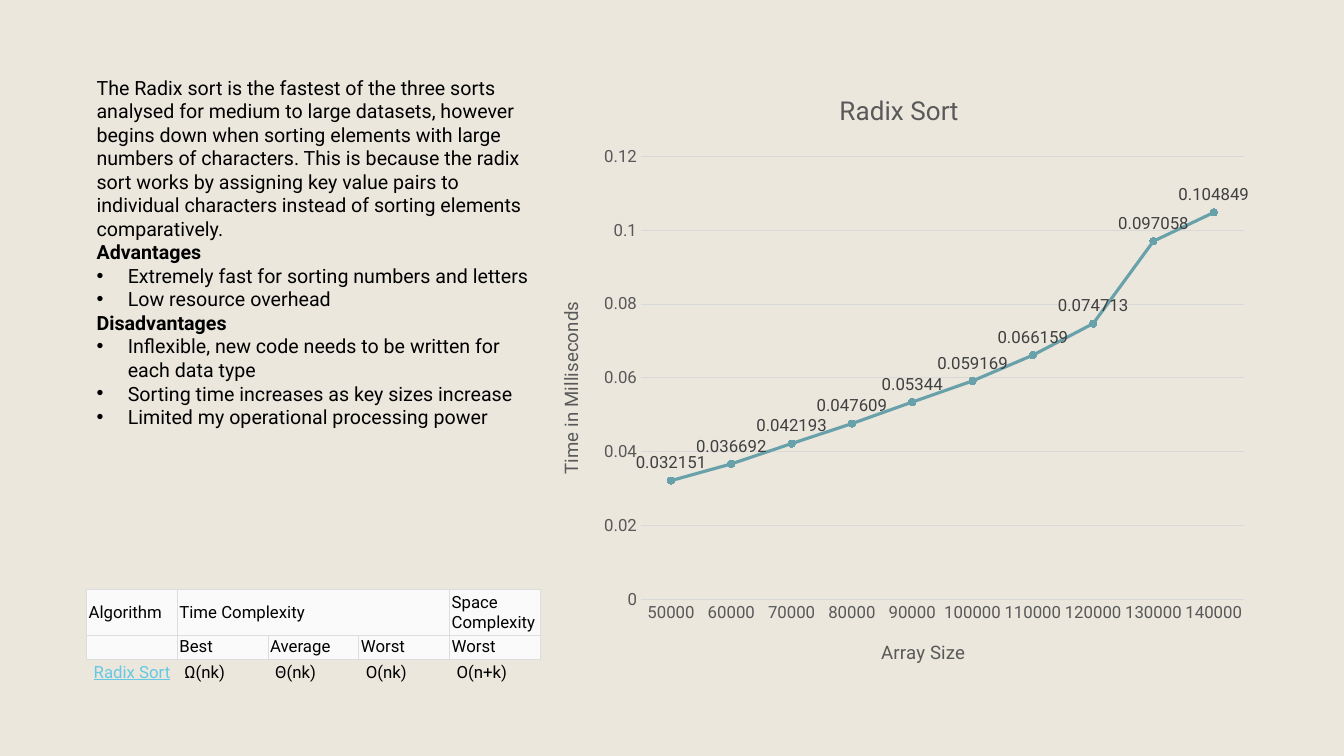
from dataclasses import dataclass
from typing import Any

from lxml import etree
from pptx import Presentation
from pptx.chart.data import CategoryChartData
from pptx.dml.color import RGBColor
from pptx.enum.chart import XL_CHART_TYPE, XL_LABEL_POSITION, XL_MARKER_STYLE, XL_TICK_MARK
from pptx.enum.shapes import MSO_SHAPE
from pptx.enum.text import MSO_ANCHOR, MSO_AUTO_SIZE
from pptx.oxml.ns import qn
from pptx.util import Inches, Pt

LINE_MARKERS = XL_CHART_TYPE.LINE_MARKERS
ABOVE = XL_LABEL_POSITION.ABOVE
CIRCLE = XL_MARKER_STYLE.CIRCLE
NO_TICK = XL_TICK_MARK.NONE
RECTANGLE = MSO_SHAPE.RECTANGLE
MIDDLE = MSO_ANCHOR.MIDDLE
FIT_SHAPE = MSO_AUTO_SIZE.SHAPE_TO_FIT_TEXT

FONT = "Roboto"
NO_STYLE = "{2D5ABB26-0587-4C30-8999-92F81FD0307C}"
COLORS = {
    "background": "EBE7DD", "text": "000000", "axis": "595959", "label": "404040",
    "grid": "D9D9D9", "series": "69A1AB", "cell": "FAFAFA", "border": "DDDDDD",
    "link": "66C8E3",
}


@dataclass
class Line:
    text: str
    bold: bool = False
    bullet: bool = False


@dataclass
class Row:
    height: float
    texts: list[str]
    margins: tuple[float, float] = (0.02, 0.02)
    header: bool = True


LINES = [
    Line("The Radix sort is the fastest of the three sorts analysed for medium to large "
         "datasets, however begins down when sorting elements with large numbers of "
         "characters. This is because the radix sort works by assigning key value pairs to "
         "individual characters instead of sorting elements comparatively."),
    Line("Advantages", bold=True),
    Line("Extremely fast for sorting numbers and letters", bullet=True),
    Line("Low resource overhead", bullet=True),
    Line("Disadvantages", bold=True),
    Line("Inflexible, new code needs to be written for each data type", bullet=True),
    Line("Sorting time increases as key sizes increase", bullet=True),
    Line("Limited my operational processing power", bullet=True),
]
ROWS = [
    Row(0.45, ["Algorithm", "Time Complexity", "", "", "Space Complexity"]),
    Row(0.24, ["", "Best", "Average", "Worst", "Worst"]),
    Row(0.26, ["Radix Sort", "Ω(nk)", "Θ(nk)", "O(nk)", "O(n+k)"], (0.07, 0.03), False),
]
TIMES = [0.032151, 0.036692, 0.042193, 0.047609, 0.05344,
         0.059169, 0.066159, 0.074713, 0.097058, 0.104849]


def rgb(name: str) -> RGBColor:
    return RGBColor.from_string(COLORS[name])


def set_fill(fill: Any, color: str) -> None:
    fill.solid()
    fill.fore_color.rgb = rgb(color)


def set_font(font: Any, size: float, color: str, **extra: bool) -> None:
    for key, value in {"name": FONT, "size": Pt(size), **extra}.items():
        setattr(font, key, value)
    font.color.rgb = rgb(color)


def set_line(line: Any, color: str, width: float) -> None:
    line.color.rgb = rgb(color)
    line.width = Pt(width)


def place(parent: Any, index: int, **parts: float) -> None:
    for old in parent.findall(qn("c:layout")):
        parent.remove(old)
    layout = etree.Element(qn("c:layout"))
    manual = etree.SubElement(layout, qn("c:manualLayout"))
    modes = {"xMode": "edge", "yMode": "edge"}
    if "w" in parts:
        modes = {"layoutTarget": "inner", **modes}
    for key, value in {**modes, **parts}.items():
        etree.SubElement(manual, qn(f"c:{key}")).set("val", str(value))
    parent.insert(index, layout)


def add_title(title: Any, text: str, size: float, x: float, y: float) -> None:
    p = title.text_frame.paragraphs[0]
    r = p.add_run()
    r.text = text
    set_font(r.font, size, "axis", bold=False)
    place(title._element, 1, x=x, y=y)


def add_text(s: Any) -> None:
    tf = s.shapes.add_textbox(Inches(0.86), Inches(0.7), Inches(4.5), Inches(3.87)).text_frame
    tf.word_wrap = True
    tf.auto_size = FIT_SHAPE
    for i, line in enumerate(LINES):
        p = tf.add_paragraph() if i else tf.paragraphs[0]
        r = p.add_run()
        r.text = line.text
        set_font(r.font, 14, "text", bold=line.bold)
        if line.bullet:
            pPr = p._p.get_or_add_pPr()
            pPr.set("marL", str(Inches(0.31)))
            pPr.set("indent", str(-Inches(0.31)))
            etree.SubElement(pPr, qn("a:buFont")).set("typeface", "Arial")
            etree.SubElement(pPr, qn("a:buChar")).set("char", "•")


def add_borders(cell: Any, sides: str) -> None:
    tcPr = cell._tc.get_or_add_tcPr()
    for i, side in enumerate(sides):
        ln = etree.Element(qn(f"a:ln{side}"), w=str(Pt(0.75)))
        fill = etree.SubElement(ln, qn("a:solidFill"))
        etree.SubElement(fill, qn("a:srgbClr")).set("val", COLORS["border"])
        tcPr.insert(i, ln)


def fill_cell(cell: Any, text: str, row: Row) -> None:
    side, edge = map(Inches, row.margins)
    formats = {"margin_left": side, "margin_right": side, "margin_top": edge,
               "margin_bottom": edge, "vertical_anchor": MIDDLE}
    for key, value in formats.items():
        setattr(cell, key, value)
    if row.header:
        set_fill(cell.fill, "cell")
    else:
        cell.fill.background()
    add_borders(cell, "LRTB" if row.header else "T")
    p = cell.text_frame.paragraphs[0]
    if text:
        r = p.add_run()
        r.text = text
        linked = text == "Radix Sort"
        set_font(r.font, 12, "link" if linked else "text", underline=linked)
    else:
        etree.SubElement(p._p, qn("a:endParaRPr")).set("sz", "1200")


def add_complexity_table(s: Any) -> None:
    table = s.shapes.add_table(len(ROWS), 5, Inches(0.86), Inches(5.85),
                               Inches(4.5), Inches(0.95)).table
    table.first_row = table.horz_banding = False
    table._tbl.tblPr.find(qn("a:tableStyleId")).text = NO_STYLE
    for i, row in enumerate(ROWS):
        table.rows[i].height = Inches(row.height)
        for j, text in enumerate(row.texts):
            fill_cell(table.cell(i, j), text, row)
    table.cell(0, 1).merge(table.cell(0, 3))


def add_radix_chart(s: Any) -> None:
    data = CategoryChartData()
    data.categories = [str(size) for size in range(50000, 150000, 10000)]
    data.add_series("Radix Sort", TIMES)
    chart = s.shapes.add_chart(LINE_MARKERS, Inches(5.36), Inches(0.7),
                               Inches(7.12), Inches(6.1), data).chart
    set_font(chart.font, 10, "text")
    chart.has_legend = False
    add_title(chart.chart_title, "Radix Sort", 18.6, 0.41, 0.03)
    sizes, times = chart.category_axis, chart.value_axis
    for axis in (sizes, times):
        axis.major_tick_mark = axis.minor_tick_mark = NO_TICK
        set_font(axis.tick_labels.font, 12, "axis")
    add_title(sizes.axis_title, "Array Size", 13.3, 0.47, 0.92)
    add_title(times.axis_title, "Time in Milliseconds", 13.3, 0.02, 0.37)
    set_line(sizes.format.line, "grid", 0.75)
    times.format.line.fill.background()
    set_line(times.major_gridlines.format.line, "grid", 0.75)
    for key, value in {"minimum_scale": 0, "maximum_scale": 0.12, "major_unit": 0.02}.items():
        setattr(times, key, value)
    plot = chart.plots[0]
    plot.vary_by_categories = False
    place(plot._element.getparent(), 0, x=0.14, y=0.14, w=0.84, h=0.72)
    series = plot.series[0]
    series.smooth = False
    set_line(series.format.line, "series", 2.25)
    marker = series.marker
    marker.style, marker.size = CIRCLE, 5
    set_fill(marker.format.fill, "series")
    set_line(marker.format.line, "series", 0.75)
    labels = series.data_labels
    labels.show_value = True
    labels.position = ABOVE
    set_font(labels.font, 12, "label")


def main() -> None:
    prs = Presentation()
    prs.slide_width, prs.slide_height = Inches(13.33), Inches(7.5)
    s = prs.slides.add_slide(prs.slide_layouts[6])
    set_fill(s.background.fill, "background")
    panel = s.shapes.add_shape(RECTANGLE, 0, 0, prs.slide_width, prs.slide_height)
    panel.shadow.inherit = False
    set_fill(panel.fill, "background")
    panel.line.fill.background()
    add_radix_chart(s)
    add_text(s)
    add_complexity_table(s)
    prs.save("out.pptx")


if __name__ == "__main__":
    main()
